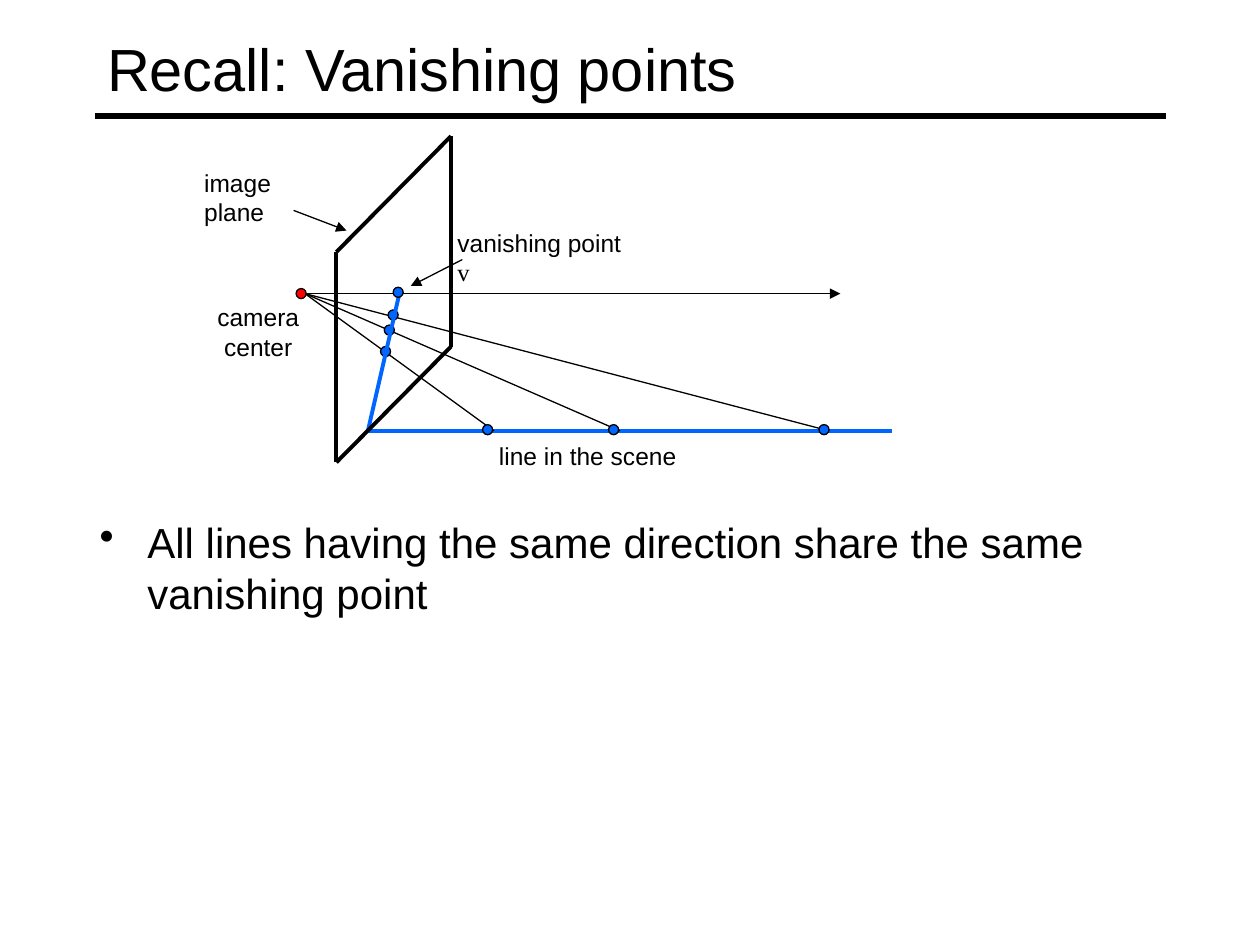
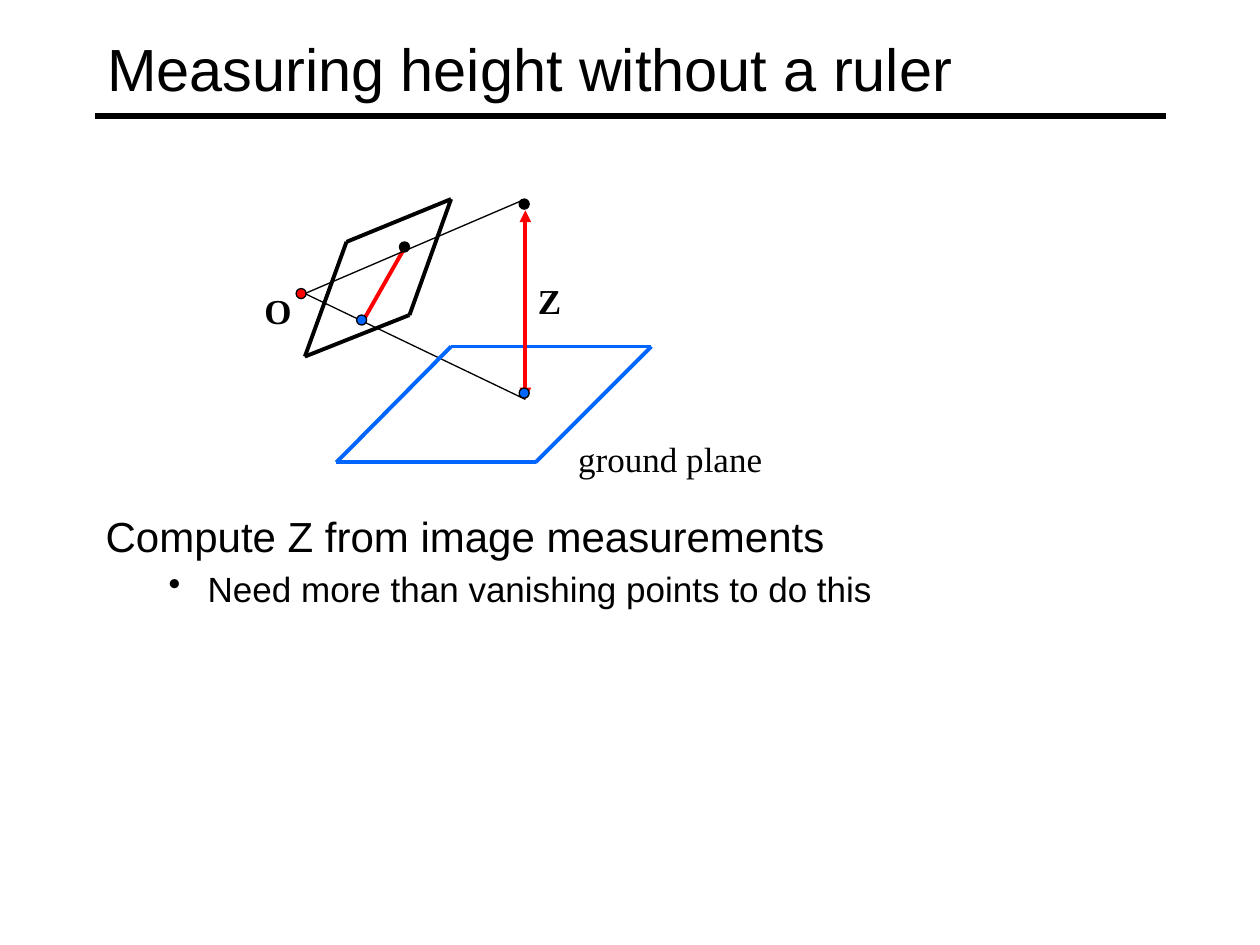
"""Builds two slides on vanishing points and measuring height, on a grid of twelfths of an inch."""
import pptx
import pptx.util
import pptx.dml.color
import pptx.enum.shapes
import pptx.enum.text
import pptx.oxml.xmlchemy

BLACK, BLUE, RED = "000000", "0066FF", "FF0000"
SANS, SERIF = "Arial", "Times New Roman"
THIN, THICK, RULE = 0.75, 2.25, 3
TIGHT, ROOMY = (0.04, 0), (0.1, 0.05)
LEFT, CENTER = pptx.enum.text.PP_ALIGN.LEFT, pptx.enum.text.PP_ALIGN.CENTER
CAMERA = (29, 28)
CAMERA_DOT = ("dot", (28.7, 28), RED)


def grid(n):
    return pptx.util.Inches(round(n / 12, 2))


def rgb(value):
    return pptx.dml.color.RGBColor.from_string(value)


vanishing = [
    ("line", (43, 13), (43, 33), BLACK, THICK, []),
    ("line", (35, 41), (85, 41), BLUE, THICK, []),
    ("line", (28, 20), (33, 22), BLACK, THIN, ["tailEnd"]),
]
for scene_x, image_point in [(47, (36.7, 33.5)), (59, (37.1, 31.5)), (79, (37.5, 30))]:
    vanishing += [
        ("line", CAMERA, (scene_x, 41), BLACK, THIN, []),
        ("dot", image_point, BLUE),
        ("dot", (scene_x - 0.5, 40.9), BLUE),
    ]
vanishing += [
    ("line", (35, 41), (38, 28), BLUE, THICK, []),
    ("line", CAMERA, (80, 28), BLACK, THIN, ["tailEnd"]),
    ("dot", (38, 27.9), BLUE),
    ("line", (44, 24.7), (39.1, 27.2), BLACK, THIN, ["tailEnd"]),
    ("line", (32, 24), (32, 44), BLACK, THICK, []),
    ("line", (32, 44), (43, 33), BLACK, THICK, []),
    ("line", (32, 24), (43, 13), BLACK, THICK, []),
    CAMERA_DOT,
]

height = [
    ("line", (34.5, 30.6), (38.5, 23.6), RED, THICK, []),
    ("line", CAMERA, (50, 19), BLACK, THIN, []),
    ("line", CAMERA, (50, 38), BLACK, THIN, []),
]
image_plane = [(33, 23), (43, 19), (39, 30), (29, 34)]
ground_plane = [(32, 44), (51, 44), (62, 33), (43, 33)]
for corners, color in [(ground_plane, BLUE), (image_plane, BLACK)]:
    for start, end in zip(corners, corners[1:] + corners[:1]):
        height.append(("line", start, end, color, THICK, []))
height += [
    ("line", (50, 38), (50, 20), RED, THICK, ["headEnd", "tailEnd"]),
    ("dot", (50, 37.5), BLUE),
    ("dot", (50, 19.5), BLACK),
    ("dot", (38.5, 23.5), BLACK),
    ("dot", (34.5, 30.5), BLUE),
    CAMERA_DOT,
]

vanishing_texts = [
    ((19, 16, 8.5, 6), TIGHT, LEFT, [(0, None, [("image plane", 14, SANS, False)])]),
    ((47, 42, 18, 3), TIGHT, LEFT, [(0, None, [("line in the scene", 14, SANS, False)])]),
    ((43.1, 21.7, 16.8, 6), TIGHT, LEFT,
     [(0, None, [("vanishing point ", 14, SANS, False), ("v", 14, SERIF, False)])]),
    ((20.2, 28.8, 8.9, 5.6), TIGHT, CENTER,
     [(0, None, [(word, 14, SANS, False)]) for word in ("camera", "center")]),
    ((9, 49.2, 102, 10.6), TIGHT, LEFT,
     [(0, (0.38, 0.38),
       [("All lines having the same direction share the same vanishing point", 24, SANS, False)])]),
]
height_texts = [
    ((24, 27, 6, 5.3), ROOMY, LEFT, [(0, None, [("O", 20, SERIF, True)])]),
    ((50, 26, 6, 5.2), ROOMY, LEFT, [(0, None, [("Z", 20, SERIF, True)])]),
    ((53.9, 41, 21, 5.2), ROOMY, LEFT, [(0, None, [("ground plane", 20, SERIF, False)])]),
    ((8.9, 48, 108, 37), ROOMY, LEFT,
     [(0, None, [("Compute Z from image measurements", 24, SANS, False)]),
      (1, (0.81, 0.31), [("Need more than vanishing points to do this", 20, SANS, False)])]),
]

prs = pptx.Presentation()
prs.slide_width, prs.slide_height = grid(120), grid(90)

for title, figure, texts in [
    ("Recall: Vanishing points", vanishing, vanishing_texts),
    ("Measuring height without a ruler", height, height_texts),
]:
    s = prs.slides.add_slide(prs.slide_layouts[5])
    heading = ((9, 1, 102, 11), ROOMY, LEFT, [(0, None, [(title, 34, SANS, False)])])

    for kind, point, *style in [("line", (9, 11), (111, 11), BLACK, RULE, [])] + figure:
        if kind == "dot":
            x, y = point
            sp = s.shapes.add_shape(pptx.enum.shapes.MSO_SHAPE.OVAL,
                                    grid(x - 0.5), grid(y - 0.5), grid(1), grid(1))
            sp.shadow.inherit = False
            sp.fill.solid()
            sp.fill.fore_color.rgb = rgb(style[0])
            sp.line.color.rgb = rgb(BLACK)
            sp.line.width = pptx.util.Pt(THIN)
        else:
            end, color, width, heads = style
            sp = s.shapes.add_connector(pptx.enum.shapes.MSO_CONNECTOR.STRAIGHT,
                                        *map(grid, point + end))
            sp.line.color.rgb = rgb(color)
            sp.line.width = pptx.util.Pt(width)
            for head in heads:
                arrow = pptx.oxml.xmlchemy.OxmlElement("a:" + head)
                arrow.set("type", "triangle")
                sp.line._get_or_add_ln().append(arrow)
            sp._element.spPr.append(pptx.oxml.xmlchemy.OxmlElement("a:effectLst"))

    for box, (inset_x, inset_y), align, paragraphs in [heading] + texts:
        is_title = box == heading[0]
        sp = s.shapes.title if is_title else s.shapes.add_textbox(0, 0, 0, 0)
        sp.left, sp.top, sp.width, sp.height = map(grid, box)
        tf = sp.text_frame
        tf.word_wrap = True
        tf.auto_size = pptx.enum.text.MSO_AUTO_SIZE.NONE
        tf.vertical_anchor = (pptx.enum.text.MSO_ANCHOR.MIDDLE if is_title
                              else pptx.enum.text.MSO_ANCHOR.TOP)
        tf.margin_left = tf.margin_right = pptx.util.Inches(inset_x)
        tf.margin_top = tf.margin_bottom = pptx.util.Inches(inset_y)
        for i, (level, bullet, runs) in enumerate(paragraphs):
            p = tf.add_paragraph() if i else tf.paragraphs[0]
            p.alignment = align
            p.level = level
            if level:
                p.space_before = pptx.util.Pt(4)
            if bullet:
                indent, hanging = bullet
                pPr = p._p.get_or_add_pPr()
                pPr.set("marL", str(pptx.util.Inches(indent)))
                pPr.set("indent", str(-pptx.util.Inches(hanging)))
                mark = pptx.oxml.xmlchemy.OxmlElement("a:buChar")
                mark.set("char", "•")
                pPr.append(mark)
            for text, size, font, bold in runs:
                r = p.add_run()
                r.text = text
                r.font.size = pptx.util.Pt(size)
                r.font.name = font
                r.font.bold = bold
                r.font.color.rgb = rgb(BLACK)

prs.save("out.pptx")
